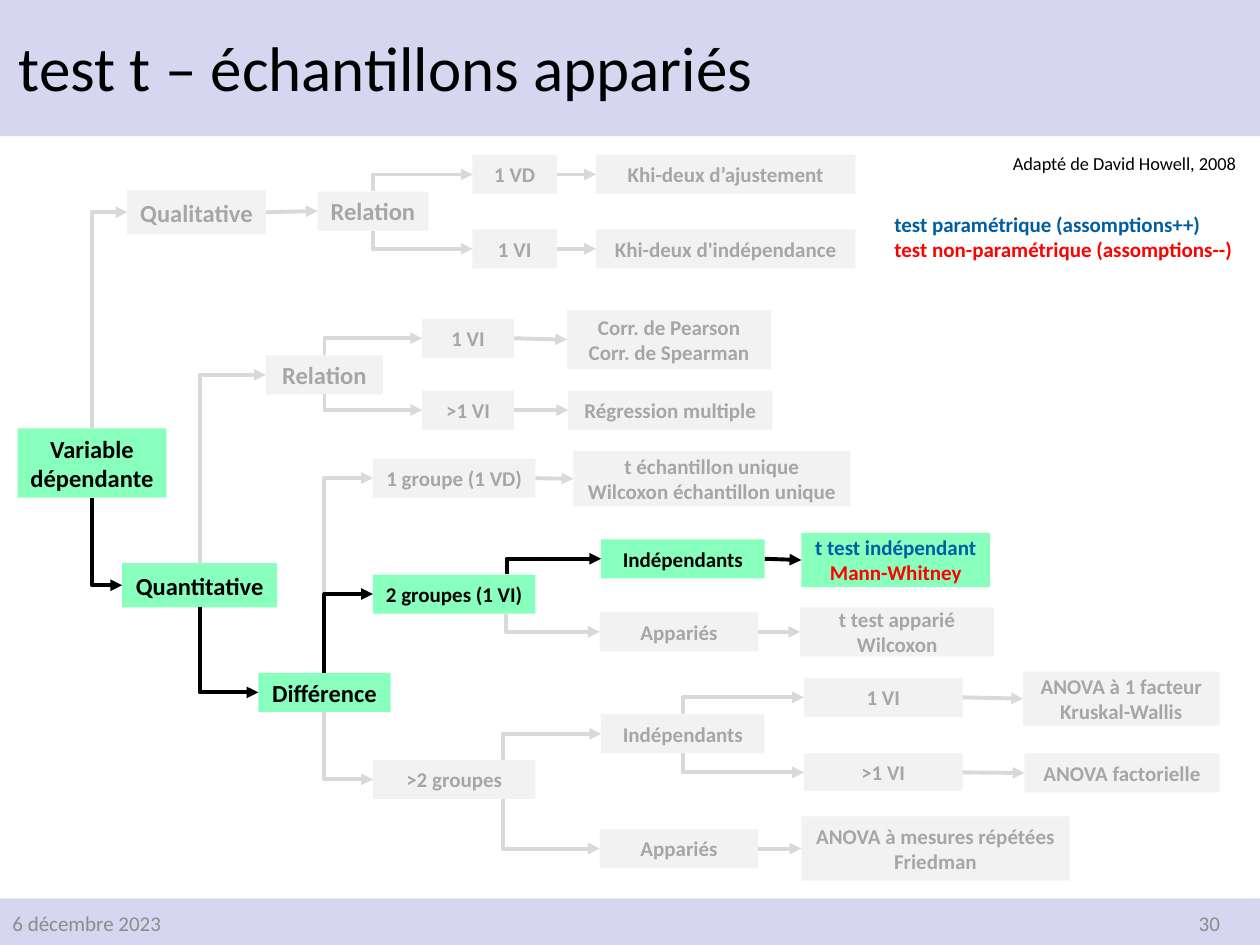
from dataclasses import dataclass

from lxml.etree import SubElement
from pptx import Presentation
from pptx.dml.color import RGBColor
from pptx.enum.shapes import MSO_CONNECTOR as Route, MSO_SHAPE as Preset
from pptx.enum.text import MSO_ANCHOR as Anchor, PP_ALIGN as Align
from pptx.oxml.ns import qn
from pptx.util import Inches, Pt


@dataclass(frozen=True)
class Theme:
    font: str = "Calibri"
    band: str = "D6D6F0"
    ink: str = "000000"
    footer: str = "8C8C8C"
    active_fill: str = "89FFBE"
    muted_fill: str = "F2F2F2"
    muted_text: str = "A6A6A6"
    muted_line: str = "D9D9D9"
    parametric: str = "005DA2"
    nonparametric: str = "FF0000"
    title_size: float = 36
    branch_size: float = 14
    body_size: float = 12
    credit_size: float = 10.5
    line_width: float = 2.25


THEME = Theme()


@dataclass(frozen=True)
class Node:
    key: str
    parent: str
    text: str
    left: float
    top: float
    width: float
    height: float = 0.31
    size: float = THEME.body_size
    active: bool = False
    line_colors: tuple = ()
    fork_x: float = 0

    @property
    def middle(self):
        return self.top + self.height / 2

    @property
    def stem(self):
        return self.fork_x or self.left + self.width / 2


BRANCH = THEME.branch_size
NODES = [
    Node("vd", "", "Variable dépendante", 0.14, 3.4, 1.18, 0.55, BRANCH, True),
    Node("quali", "vd", "Qualitative", 1.01, 1.51, 1.1, 0.35, BRANCH),
    Node("quanti", "vd", "Quantitative", 0.97, 4.47, 1.23, 0.35, BRANCH, True),
    Node("quali_rel", "quali", "Relation", 2.52, 1.52, 0.88, size=BRANCH),
    Node("one_vd", "quali_rel", "1 VD", 3.75, 1.23, 0.67),
    Node("one_vi", "quali_rel", "1 VI", 3.75, 1.82, 0.67),
    Node("fit", "one_vd", "Khi-deux d’ajustement", 4.73, 1.23, 2.06),
    Node("indep", "one_vi", "Khi-deux d'indépendance", 4.73, 1.82, 2.06),
    Node("quanti_rel", "quanti", "Relation", 2.11, 2.82, 0.93, size=BRANCH),
    Node("rel_one", "quanti_rel", "1 VI", 3.35, 2.53, 0.73),
    Node("rel_many", "quanti_rel", ">1 VI", 3.35, 3.1, 0.73),
    Node("corr", "rel_one", "Corr. de Pearson\nCorr. de Spearman",
         4.5, 2.46, 1.62, 0.47),
    Node("regression", "rel_many", "Régression multiple", 4.51, 3.1, 1.62),
    Node("diff", "quanti", "Différence", 2.05, 5.34, 1.05, 0.31, BRANCH, True),
    Node("group1", "diff", "1 groupe (1 VD)", 2.96, 3.64, 1.29),
    Node("group2", "diff", "2 groupes (1 VI)", 2.96, 4.56, 1.29,
         active=True, fork_x=4.02),
    Node("groups", "diff", ">2 groupes", 2.96, 6.03, 1.29, fork_x=3.99),
    Node("single", "group1",
         "t échantillon unique\nWilcoxon échantillon unique",
         4.55, 3.58, 2.2, 0.44),
    Node("two_indep", "group2", "Indépendants", 4.77, 4.28, 1.3, active=True),
    Node("two_paired", "group2", "Appariés", 4.76, 4.86, 1.26),
    Node("t_indep", "two_indep", "t test indépendant\nMann-Whitney",
         6.36, 4.23, 1.5, 0.43, active=True,
         line_colors=(THEME.parametric, THEME.nonparametric)),
    Node("t_paired", "two_paired", "t test apparié\nWilcoxon",
         6.35, 4.82, 1.54, 0.39),
    Node("many_indep", "groups", "Indépendants", 4.77, 5.67, 1.3),
    Node("many_paired", "groups", "Appariés", 4.76, 6.58, 1.26),
    Node("factor1", "many_indep", "1 VI", 6.38, 5.38, 1.26),
    Node("factors", "many_indep", ">1 VI", 6.38, 5.98, 1.26, 0.3),
    Node("anova1", "factor1", "ANOVA à 1 facteur\nKruskal-Wallis",
         8.12, 5.33, 1.56, 0.43),
    Node("anova_many", "factors", "ANOVA factorielle", 8.13, 5.98, 1.55),
    Node("anova_rep", "many_paired", "ANOVA à mesures répétées\nFriedman",
         6.36, 6.48, 2.13, 0.51),
]


def add_run(paragraph, text, size, color, bold=False):
    run = paragraph.add_run()
    run.text = text
    run.font.name = THEME.font
    run.font.size = Pt(size)
    run.font.bold = bold
    run.font.color.rgb = RGBColor.from_string(color)


def add_rect(slide, left, top, width, height, color):
    rect = slide.shapes.add_shape(
        Preset.RECTANGLE, *map(Inches, (left, top, width, height)))
    rect.shadow.inherit = False
    rect.fill.solid()
    rect.fill.fore_color.rgb = RGBColor.from_string(color)
    rect.line.fill.background()
    return rect


def add_title(slide, text):
    title = slide.shapes.title
    title.left, title.top = Inches(0.05), Inches(0.07)
    title.width, title.height = Inches(8.59), Inches(0.99)
    title.text_frame.vertical_anchor = Anchor.MIDDLE
    heading = title.text_frame.paragraphs[0]
    heading.alignment = Align.LEFT
    heading.line_spacing = 0.9
    add_run(heading, text, THEME.title_size, THEME.ink)
    slide.shapes._spTree.append(title._element)


def add_label(slide, box, lines, size, bold=False, align=Align.LEFT,
              anchor=Anchor.TOP, wrap=True):
    frame = slide.shapes.add_textbox(*map(Inches, box)).text_frame
    frame.word_wrap = wrap
    frame.vertical_anchor = anchor
    for index, (text, color) in enumerate(lines):
        paragraph = frame.add_paragraph() if index else frame.paragraphs[0]
        paragraph.alignment = align
        add_run(paragraph, text, size, color, bold)


def add_node(slide, node):
    fill = THEME.active_fill if node.active else THEME.muted_fill
    ink = THEME.ink if node.active else THEME.muted_text
    rect = add_rect(slide, node.left, node.top, node.width, node.height, fill)
    frame = rect.text_frame
    frame.word_wrap = True
    frame.vertical_anchor = Anchor.MIDDLE
    frame.margin_left = frame.margin_right = Inches(0.05)
    paragraph = frame.paragraphs[0]
    paragraph.alignment = Align.CENTER
    lines = node.text.split("\n")
    colors = node.line_colors or (ink,) * len(lines)
    for index, (text, color) in enumerate(zip(lines, colors)):
        if index:
            paragraph.add_line_break()
        add_run(paragraph, text, node.size, color, True)
    return rect


def style_arrow(arrow, active):
    color = THEME.ink if active else THEME.muted_line
    arrow.line.color.rgb = RGBColor.from_string(color)
    arrow.line.width = Pt(THEME.line_width)
    SubElement(arrow.line._get_or_add_ln(), qn("a:tailEnd"), type="triangle")
    SubElement(arrow._element.spPr, qn("a:effectLst"))


def add_straight(slide, parent_rect, child_rect):
    arrow = slide.shapes.add_connector(Route.STRAIGHT, 0, 0, 0, 0)
    arrow.begin_connect(parent_rect, 3)
    arrow.end_connect(child_rect, 1)
    return arrow


def add_elbow(slide, parent, child):
    upward = child.middle < parent.middle
    start_y = parent.top if upward else parent.top + parent.height
    run, rise = child.left - parent.stem, abs(child.middle - start_y)
    left = (parent.stem + child.left - rise) / 2
    top = (start_y + child.middle - run) / 2
    arrow = slide.shapes.add_connector(
        Route.ELBOW, *map(Inches, (left, top, left + rise, top + run)))
    properties = arrow._element.spPr
    properties.find(qn("a:prstGeom")).set("prst", "bentConnector2")
    turn = properties.find(qn("a:xfrm"))
    turn.set("rot", str((90 if upward else 270) * 60000))
    turn.set("flipH", "1")
    if upward:
        turn.set("flipV", "1")
    return arrow


def add_tree(slide, nodes):
    by_key = {node.key: node for node in nodes}
    rects = {node.key: add_node(slide, node) for node in nodes}
    children = [node for node in nodes if node.parent]
    for child in sorted(children, key=lambda node: node.active):
        parent = by_key[child.parent]
        if abs(parent.middle - child.middle) < 0.05:
            arrow = add_straight(slide, rects[parent.key], rects[child.key])
        else:
            arrow = add_elbow(slide, parent, child)
        style_arrow(arrow, child.active)


def main():
    deck = Presentation()
    deck.slide_width, deck.slide_height = Inches(10), Inches(7.5)
    slide = deck.slides.add_slide(deck.slide_layouts[5])
    add_rect(slide, 0, 0, 10, 1.08, THEME.band)
    add_rect(slide, 0, 7.13, 10, 0.37, THEME.band)
    add_title(slide, "test t – échantillons appariés")
    add_label(slide, (0, 7.13, 2.25, 0.4), [("6 décembre 2023", THEME.footer)],
              THEME.body_size, anchor=Anchor.MIDDLE)
    add_label(slide, (7.53, 7.13, 2.25, 0.4), [("30", THEME.footer)],
              THEME.body_size, align=Align.RIGHT, anchor=Anchor.MIDDLE)
    add_tree(slide, NODES)
    add_label(slide, (7.94, 1.16, 2.01, 0.28),
              [("Adapté de David Howell, 2008", THEME.ink)],
              THEME.credit_size, wrap=False)
    add_label(slide, (7, 1.63, 2.92, 0.5),
              [("test paramétrique (assomptions++)", THEME.parametric),
               ("test non-paramétrique (assomptions--)", THEME.nonparametric)],
              THEME.body_size, bold=True)
    deck.save("out.pptx")


if __name__ == "__main__":
    main()
